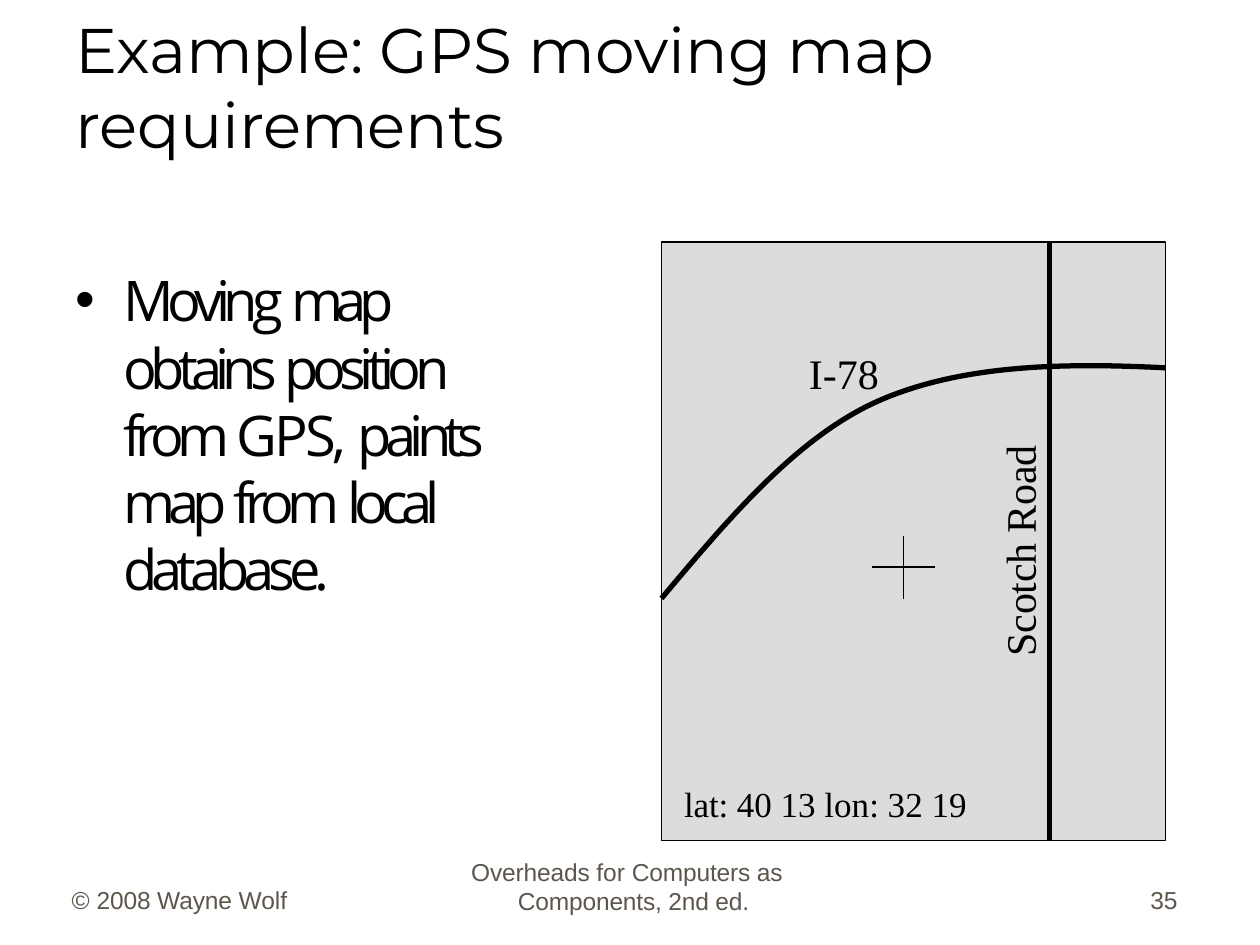
from lxml import etree
from pptx import Presentation
from pptx.dml.color import RGBColor
from pptx.enum.shapes import MSO_CONNECTOR as CONN, MSO_SHAPE as SHAPE
from pptx.enum.text import MSO_ANCHOR, MSO_AUTO_SIZE, PP_ALIGN
from pptx.oxml.ns import qn
from pptx.util import Inches, Pt

COLORS = {"ink": "000000", "map": "DCDCDC", "footer": "5D564D"}
TITLE = {"name": "Montserrat", "size": Pt(36), "color": "ink"}
BODY = {"name": "Open Sans", "size": Pt(32), "color": "ink"}
ROAD = {"name": "Times New Roman", "size": Pt(24), "color": "ink"}
POSITION = {**ROAD, "size": Pt(20)}
FOOTER = {"name": "Arial", "size": Pt(14), "color": "footer"}

MAP_LEFT, MAP_TOP, MAP_WIDTH, MAP_HEIGHT = 5.25, 1.92, 4, 4.75
SCOTCH_X = 8.33
CROSS_X, CROSS_Y, CROSS_ARM = 7.17, 4.5, 0.25
THIN, THICK = 0.74, 3
# Cubic curves of the highway: start, two controls, end
HIGHWAY = [
    [(5.25, 4.75), (5.78, 4.12), (6.34, 3.45), (7, 3.17)],
    [(7, 3.17), (7.66, 2.89), (8.47, 2.88), (9.25, 2.92)],
]


def rgb(key):
    """Return the colour stored under a key."""
    return RGBColor.from_string(COLORS[key])


def write(sp, runs, style, before=0, spacing=None, margin=0, indent=0,
          bullet=None, right=0, vert=None):
    """Fill a shape with one paragraph of (text, letter spacing) runs."""
    tf = sp.text_frame
    frame = {"margin_left": 0, "margin_top": 0, "margin_bottom": 0,
             "margin_right": Inches(right), "word_wrap": True,
             "auto_size": MSO_AUTO_SIZE.NONE,
             "vertical_anchor": MSO_ANCHOR.TOP}
    for name, value in frame.items():
        setattr(tf, name, value)
    if vert:
        tf._txBody.bodyPr.set("vert", vert)
    p = tf.paragraphs[0]
    p.alignment = PP_ALIGN.LEFT
    p.space_before = Pt(before)
    if spacing:
        p.line_spacing = Pt(spacing)
    pPr = p._p.get_or_add_pPr()
    pPr.set("marL", str(Inches(margin)))
    pPr.set("indent", str(Inches(indent)))
    if bullet:
        etree.SubElement(pPr, qn("a:buFont")).set("typeface", "Arial")
        etree.SubElement(pPr, qn("a:buChar")).set("char", bullet)
    for text, gap in runs:
        r = p.add_run()
        r.text = text
        for name in ("name", "size"):
            setattr(r.font, name, style[name])
        r.font.color.rgb = rgb(style["color"])
        r._r.get_or_add_rPr().set("spc", str(round(gap * 100)))


def add_text(s, box, runs, style, **options):
    """Add a text box at (left, top, width, height)."""
    write(s.shapes.add_textbox(*map(Inches, box)), runs, style, **options)


def add_line(s, x1, y1, x2, y2, width):
    """Add a straight line without shadow."""
    line = s.shapes.add_connector(CONN.STRAIGHT, *map(Inches, (x1, y1, x2, y2)))
    line.line.color.rgb = rgb("ink")
    line.line.width = Pt(width)
    etree.SubElement(line._element.spPr, qn("a:effectLst"))


def curve_points(curve, steps=30):
    """Return points along a cubic curve, without its start."""
    weights = []
    for i in range(1, steps + 1):
        t = i / steps
        u = 1 - t
        weights.append((u ** 3, 3 * u * u * t, 3 * u * t * t, t ** 3))
    return [tuple(Inches(sum(w * pt[axis] for w, pt in zip(ws, curve)))
                  for axis in (0, 1)) for ws in weights]


def add_highway(s):
    """Draw the bending highway as an open outline."""
    x, y = HIGHWAY[0][0]
    builder = s.shapes.build_freeform(Inches(x), Inches(y))
    for curve in HIGHWAY:
        builder.add_line_segments(curve_points(curve), close=False)
    sp = builder.convert_to_shape()
    sp.shadow.inherit = False
    sp.fill.background()
    sp.line.color.rgb = rgb("ink")
    sp.line.width = Pt(THICK)


def add_map(s):
    """Draw the map panel, its roads and the position cross."""
    panel = s.shapes.add_shape(SHAPE.RECTANGLE, *map(
        Inches, (MAP_LEFT, MAP_TOP, MAP_WIDTH, MAP_HEIGHT)))
    panel.shadow.inherit = False
    panel.fill.solid()
    panel.fill.fore_color.rgb = rgb("map")
    panel.line.color.rgb = rgb("ink")
    panel.line.width = Pt(THIN)
    add_line(s, SCOTCH_X, MAP_TOP, SCOTCH_X, MAP_TOP + MAP_HEIGHT, THICK)
    add_highway(s)
    for dx, dy in ((0, CROSS_ARM), (CROSS_ARM, 0)):
        add_line(s, CROSS_X - dx, CROSS_Y - dy, CROSS_X + dx, CROSS_Y + dy, THIN)
    add_text(s, (5.43, 6.21, 2.27, 0.35), [("lat: ", -0.1), ("40 13 lon: 32 19", 0)],
             POSITION, before=1)
    add_text(s, (6.42, 2.76, 0.57, 0.42), [("I-78", 0)], ROAD, before=1)
    add_text(s, (7.91, 3.5, 0.4, 1.72), [("Scotch Road", -0.1)], ROAD,
             spacing=27.2, margin=0.01, vert="vert270")


def add_title(s):
    """Place and fill the title placeholder."""
    title = s.shapes.title
    box = {"left": 0.59, "top": 0.08, "width": 8.83, "height": 1.22}
    for name, value in box.items():
        setattr(title, name, Inches(value))
    write(title, [("Example: ", -0.1), ("GPS moving map ", 0), ("requirements", -0.1)],
          TITLE, before=1, margin=0.01)


def add_body(s):
    """Add the tightly spaced bullet."""
    runs = [("Moving ", -3.6), ("map ", -4.2), ("obtains ", -3.9),
            ("position ", -3.8), ("from ", -4), ("GPS, ", -1.8),
            ("paints ", -3.9), ("map ", -4.2), ("from ", -4),
            ("local ", -3.9), ("database.", -3.5)]
    add_text(s, (0.59, 2.11, 3.79, 2.68), runs, BODY, before=1,
             margin=0.39, indent=-0.38, bullet="•", right=0.4)


def add_footer(s):
    """Add the source, the copyright and the slide number."""
    add_text(s, (3.73, 6.8, 2.53, 0.48),
             [("Overheads ", -0.1), ("for ", 0),
              ("Computers as Components, 2nd ed.", -0.1)],
             FOOTER, before=0.3, spacing=16.7, margin=0.38, indent=-0.37)
    add_text(s, (0.56, 7.03, 1.77, 0.25), [("© ", 0), ("2008 Wayne ", -0.1), ("Wolf", 0)],
             FOOTER, spacing=16.4, margin=0.01)
    add_text(s, (9.1, 7.03, 0.27, 0.25), [("35", 0)], FOOTER, spacing=16.4, margin=0.03)


def main():
    """Build the slide and save it."""
    prs = Presentation()
    prs.slide_width, prs.slide_height = Inches(10), Inches(7.5)
    s = prs.slides.add_slide(prs.slide_layouts[5])
    add_title(s)
    add_body(s)
    add_map(s)
    add_footer(s)
    prs.save("out.pptx")


main()
